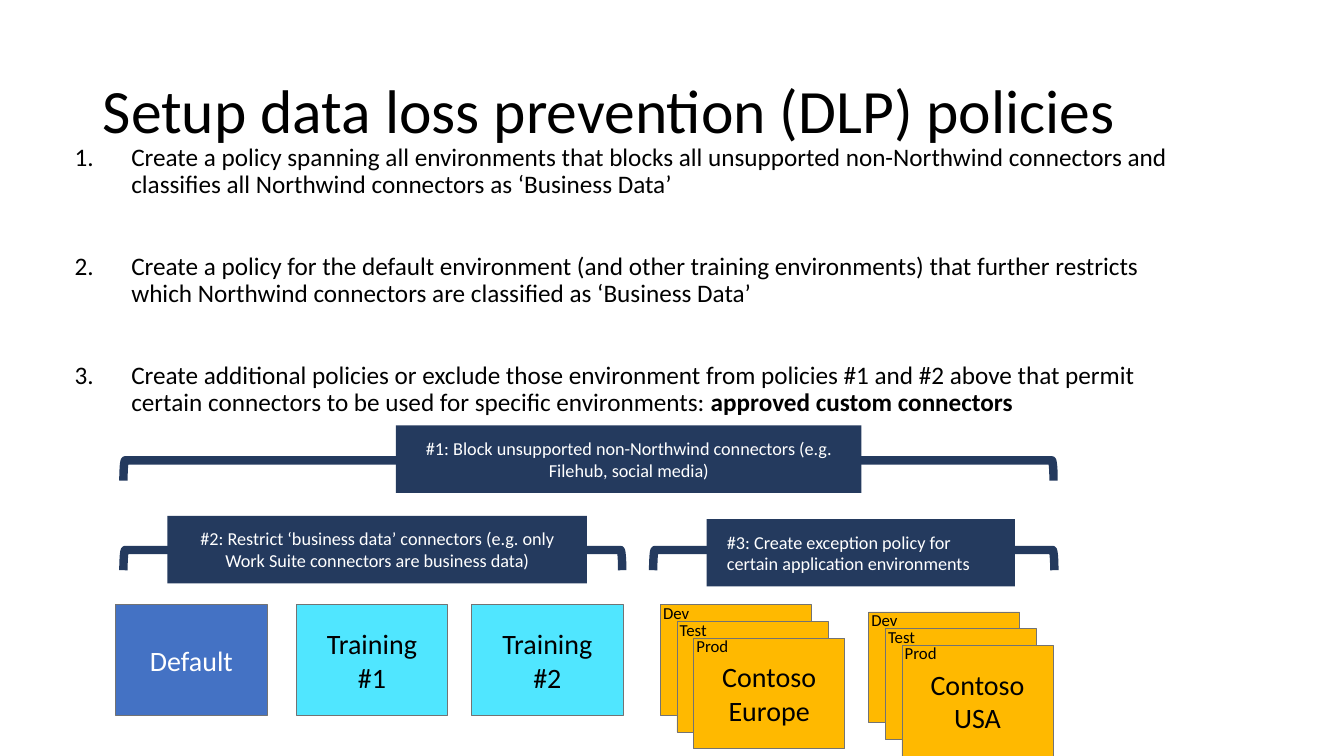
from lxml import etree
from pptx import Presentation
from pptx.dml.color import RGBColor
from pptx.enum.shapes import MSO_SHAPE
from pptx.enum.text import MSO_ANCHOR, PP_ALIGN
from pptx.oxml.ns import qn
from pptx.util import Cm, Pt

RECTANGLE, BRACKET = MSO_SHAPE.RECTANGLE, MSO_SHAPE.LEFT_BRACKET
MIDDLE, LEFT, CENTER = MSO_ANCHOR.MIDDLE, PP_ALIGN.LEFT, PP_ALIGN.CENTER
FONT = "Calibri"
COLORS = {
    "black": "000000", "white": "FFFFFF", "navy": "243A5E", "blue": "4472C4",
    "cyan": "50E6FF", "amber": "FFB900", "outline": "737373",
}
TILE_WIDTH, TILE_HEIGHT, TILE_TOP = 3.81, 2.79, 15.24


def style(para, size, color):
    para.font.name = FONT
    para.font.size = Pt(size)
    para.font.color.rgb = RGBColor.from_string(COLORS[color])


def add_block(left, top, width, height, fill, text="", size=20,
              color="black", align=CENTER, outline=True):
    block = page.shapes.add_shape(RECTANGLE, Cm(left), Cm(top), Cm(width), Cm(height))
    block.shadow.inherit = False
    block.fill.solid()
    block.fill.fore_color.rgb = RGBColor.from_string(COLORS[fill])
    if outline:
        block.line.color.rgb = RGBColor.from_string(COLORS["outline"])
        block.line.width = Pt(0.5)
    else:
        block.line.fill.background()
    if text:
        frame = block.text_frame
        frame.word_wrap = True
        frame.vertical_anchor = MIDDLE
        frame.margin_left = frame.margin_right = Cm(0.51)
        frame.margin_top = frame.margin_bottom = Cm(0.41)
        para = frame.paragraphs[0]
        para.text = text
        para.alignment = align
        style(para, size, color)


deck = Presentation()
deck.slide_width, deck.slide_height = Cm(33.87), Cm(19.05)
page = deck.slides.add_slide(deck.slide_layouts[6])

# Title
title = page.shapes.add_textbox(Cm(2.34), Cm(1.02), Cm(29.21), Cm(3.68))
title.text_frame.word_wrap = True
title.text_frame.vertical_anchor = MIDDLE
para = title.text_frame.paragraphs[0]
para.text = "Setup data loss prevention (DLP) policies"
para.line_spacing = 0.9
style(para, 44, "black")

# Numbered policies: plain text, then bold text
policies = [
    ("Create a policy spanning all environments that blocks all unsupported "
     "non-Northwind connectors and classifies all Northwind connectors as ‘Business Data’", ""),
    ("Create a policy for the default environment (and other training environments) that "
     "further restricts which Northwind connectors are classified as ‘Business Data’", ""),
    ("Create additional policies or exclude those environment from policies #1 and #2 above "
     "that permit certain connectors to be used for specific environments: ",
     "approved custom connectors"),
]
body = page.shapes.add_textbox(Cm(1.63), Cm(3.51), Cm(28.22), Cm(7.7))
frame = body.text_frame
frame.word_wrap = True
for index, (plain, bold) in enumerate(policies):
    para = frame.add_paragraph() if index else frame.paragraphs[0]
    para.line_spacing = 0.9
    if index:
        para.space_before = Pt(39)
    properties = para._p.get_or_add_pPr()
    properties.set("marL", str(Cm(1.43)))
    properties.set("indent", str(-Cm(1.43)))
    etree.SubElement(properties, qn("a:buFont"), typeface="+mj-lt")
    etree.SubElement(properties, qn("a:buAutoNum"), type="arabicPeriod")
    style(para, 18, "black")
    para.add_run().text = plain
    if bold:
        span = para.add_run()
        span.text = bold
        span.font.bold = True

# Single environments
for left, fill, color, text in [
    (2.92, "blue", "white", "Default"),
    (7.47, "cyan", "black", "Training #1"),
    (11.89, "cyan", "black", "Training #2"),
]:
    add_block(left, TILE_TOP, TILE_WIDTH, TILE_HEIGHT, fill, text, color=color)

# Stacked application environments
for stack_left, stack_top, name in [
    (16.64, TILE_TOP, "Contoso Europe"),
    (21.89, 15.42, "Contoso USA"),
]:
    for step, stage in enumerate(["Dev", "Test", "Prod"]):
        left, top = stack_left + 0.42 * step, stack_top + 0.42 * step
        add_block(left, top, TILE_WIDTH, TILE_HEIGHT, "amber", name if stage == "Prod" else "")
        label = page.shapes.add_textbox(Cm(left - 0.18), Cm(top - 0.18),
                                        Cm(TILE_WIDTH), Cm(TILE_HEIGHT))
        label.text_frame.word_wrap = False
        para = label.text_frame.paragraphs[0]
        para.text = stage
        style(para, 12, "black")

# Policy brackets: a left bracket turned to open downwards
DEPTH = 0.51
for left, top, length in [(3.11, 11.6, 23.44), (3.11, 13.86, 12.57), (16.46, 13.86, 10.11)]:
    bracket = page.shapes.add_shape(
        BRACKET, Cm(left + (length - DEPTH) / 2), Cm(top - (length - DEPTH) / 2),
        Cm(DEPTH), Cm(length))
    bracket.rotation = 90
    bracket.shadow.inherit = False
    bracket.fill.background()
    bracket.line.color.rgb = RGBColor.from_string(COLORS["navy"])
    bracket.line.width = Pt(6)

# Policy banners
for left, top, width, align, text in [
    (9.98, 10.72, 11.73, CENTER,
     "#1: Block unsupported non-Northwind connectors (e.g. Filehub, social media)"),
    (4.22, 13.0, 10.57, CENTER,
     "#2: Restrict ‘business data’ connectors (e.g. only Work Suite connectors are business data)"),
    (17.81, 13.08, 7.77, LEFT,
     "#3: Create exception policy for certain application environments"),
]:
    add_block(left, top, width, 1.7, "navy", text, 13, "white", align, outline=False)

deck.save("out.pptx")
